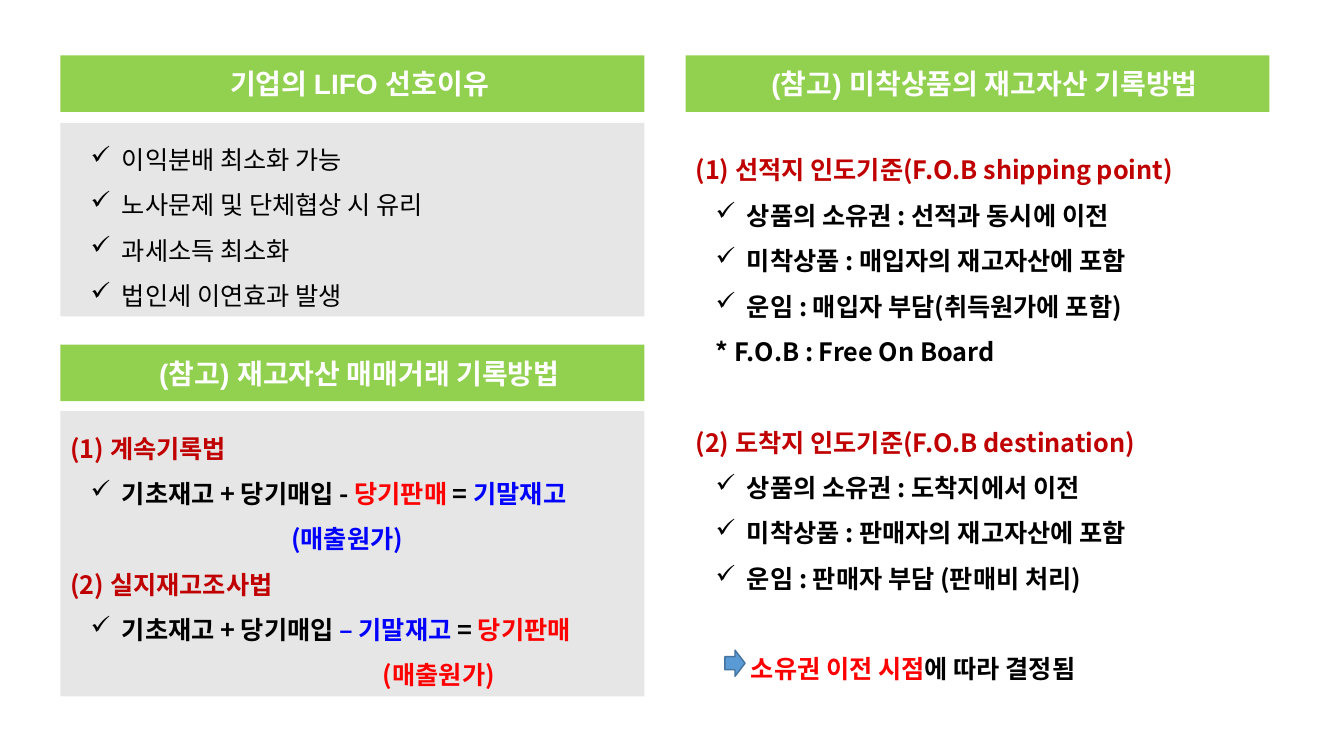
from lxml.etree import SubElement
from pptx import Presentation
from pptx.dml.color import RGBColor
from pptx.enum.shapes import MSO_SHAPE as Shape
from pptx.enum.text import MSO_ANCHOR as Anchor, MSO_AUTO_SIZE as AutoSize, PP_ALIGN as Align
from pptx.oxml.ns import qn
from pptx.util import Inches, Pt

COLORS = {
    "green": "92D050", "gray": "E7E6E6", "white": "FFFFFF", "black": "000000",
    "dark red": "C00000", "red": "FF0000", "blue": "0000FF",
    "arrow": "5B9BD5", "arrow edge": "43739E",
}
KOREAN_FONT = "Noto Sans CJK KR"
LEFT, RIGHT, WIDTH = 0.6, 6.8, 5.79
HEADER_HEIGHT = 0.56
BLANK_LINE = 32.4  # points

# Header: left, top, text
HEADERS = [
    (RIGHT, 0.55, "(참고) 미착상품의 재고자산 기록방법"),
    (LEFT, 0.55, "기업의 LIFO 선호이유"),
    (LEFT, 3.42, "(참고) 재고자산 매매거래 기록방법"),
]

# Line style: left margin, first-line indent, bullet, space before in points
STYLES = {
    "title": (0, 0, False, 0),
    "next title": (0, 0, False, BLANK_LINE),
    "check": (0.51, -0.31, True, 0),
    "note": (0.2, 0, False, 0),
    "under sales": (2.19, 0, False, 0),
    "under result": (3.1, 0, False, 0),
    "conclusion": (0.55, 0, False, BLANK_LINE),
}

# Line: style, then (text, color) spans
REASONS = [
    ("check", [("이익분배 최소화 가능", "black")]),
    ("check", [("노사문제 및 단체협상 시 유리", "black")]),
    ("check", [("과세소득 최소화", "black")]),
    ("check", [("법인세 이연효과 발생", "black")]),
]
RECORDING = [
    ("title", [("(1) 계속기록법", "dark red")]),
    ("check", [("기초재고 + 당기매입 - ", "black"), ("당기판매 ", "red"),
               ("= ", "black"), ("기말재고", "blue")]),
    ("under sales", [("(매출원가)", "blue")]),
    ("title", [("(2) 실지재고조사법", "dark red")]),
    ("check", [("기초재고 + 당기매입 ", "black"), ("– 기말재고 ", "blue"),
               ("= ", "black"), ("당기판매", "red")]),
    ("under result", [("(매출원가)", "red")]),
]
IN_TRANSIT = [
    ("title", [("(1) 선적지 인도기준(F.O.B shipping point)", "dark red")]),
    ("check", [("상품의 소유권 : 선적과 동시에 이전", "black")]),
    ("check", [("미착상품 : 매입자의 재고자산에 포함", "black")]),
    ("check", [("운임 : 매입자 부담(취득원가에 포함)", "black")]),
    ("note", [("* F.O.B : Free On Board", "black")]),
    ("next title", [("(2) 도착지 인도기준(F.O.B destination)", "dark red")]),
    ("check", [("상품의 소유권 : 도착지에서 이전", "black")]),
    ("check", [("미착상품 : 판매자의 재고자산에 포함", "black")]),
    ("check", [("운임 : 판매자 부담 (판매비 처리)", "black")]),
    ("conclusion", [("소유권 이전 시점", "red"), ("에 따라 결정됨", "black")]),
]

# Panel: left, top, height, fill, bold, lines
PANELS = [
    (LEFT, 1.22, 1.92, "gray", False, REASONS),
    (RIGHT, 1.31, 5.55, None, True, IN_TRANSIT),
    (LEFT, 4.08, 2.83, "gray", True, RECORDING),
]


def color(name):
    return RGBColor.from_string(COLORS[name])


def add_box(page, kind, left, top, width, height, fill):
    box = page.shapes.add_shape(kind, Inches(left), Inches(top), Inches(width), Inches(height))
    box.shadow.inherit = False
    box.fill.solid()
    box.fill.fore_color.rgb = color(fill)
    box.line.fill.background()
    return box


def add_span(para, text, size, latin, color_name, bold):
    span = para.add_run()
    span.text = text
    span.font.size = Pt(size)
    span.font.bold = bold
    span.font.color.rgb = color(color_name)
    span.font.name = latin
    SubElement(span.font._element, qn("a:ea")).set("typeface", KOREAN_FONT)


def indent(para, margin, first_line):
    properties = para._p.get_or_add_pPr()
    properties.set("marL", str(Inches(margin)))
    properties.set("indent", str(Inches(first_line)))
    return properties


def add_header(page, left, top, text):
    box = add_box(page, Shape.RECTANGLE, left, top, WIDTH, HEADER_HEIGHT, "green")
    box.text_frame.vertical_anchor = Anchor.MIDDLE
    para = box.text_frame.paragraphs[0]
    para.alignment = Align.CENTER
    indent(para, 0, 0.14)
    add_span(para, text, 20, "Arial", "white", True)


def add_panel(page, left, top, height, fill, bold, lines):
    if fill:
        box = add_box(page, Shape.RECTANGLE, left, top, WIDTH, height, fill)
    else:
        box = page.shapes.add_textbox(Inches(left), Inches(top), Inches(WIDTH), Inches(height))
    frame = box.text_frame
    frame.word_wrap = True
    frame.auto_size = AutoSize.SHAPE_TO_FIT_TEXT
    frame.vertical_anchor = Anchor.MIDDLE
    for number, (style, spans) in enumerate(lines):
        para = frame.add_paragraph() if number else frame.paragraphs[0]
        margin, first_line, bulleted, before = STYLES[style]
        para.alignment = Align.LEFT
        para.line_spacing = 1.5
        if before:
            para.space_before = Pt(before)
        properties = indent(para, margin, first_line)
        if bulleted:
            SubElement(properties, qn("a:buChar")).set("char", "✓")
        for text, color_name in spans:
            add_span(para, text, 18, KOREAN_FONT, color_name, bold)


def main():
    deck = Presentation()
    deck.slide_width, deck.slide_height = Inches(13.33), Inches(7.5)
    page = deck.slides.add_slide(deck.slide_layouts[6])
    for panel in PANELS:
        add_panel(page, *panel)
    for header in HEADERS:
        add_header(page, *header)
    arrow = add_box(page, Shape.RIGHT_ARROW, 7.19, 6.45, 0.2, 0.26, "arrow")
    arrow.line.color.rgb = color("arrow edge")
    arrow.line.width = Pt(1)
    deck.save("out.pptx")


if __name__ == "__main__":
    main()
